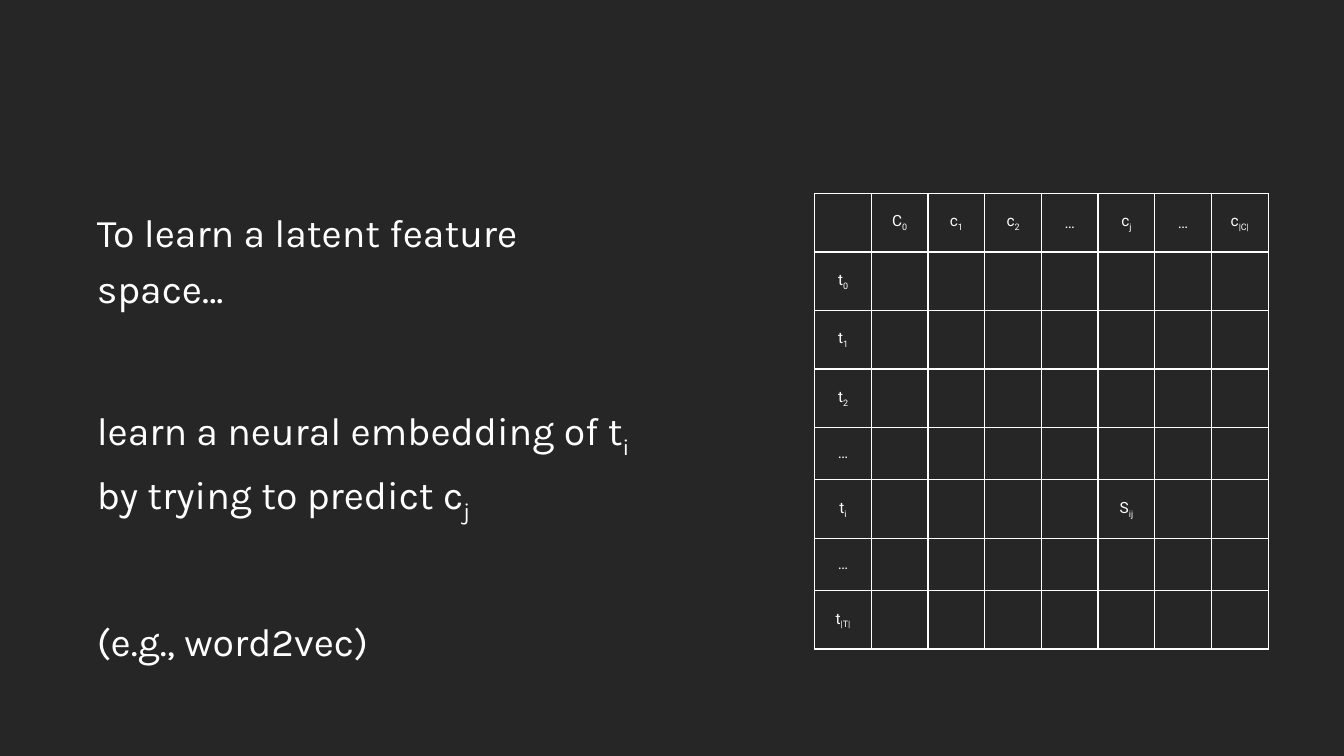
"""Build a slide on learning neural embeddings from a term-context matrix."""
from lxml.etree import SubElement
from pptx import Presentation
from pptx.dml.color import RGBColor
from pptx.enum.text import MSO_ANCHOR, MSO_AUTO_SIZE, PP_ALIGN
from pptx.oxml.ns import qn
from pptx.util import Inches, Pt

DARK = RGBColor(0x26, 0x26, 0x26)
WHITE = RGBColor(0xFF, 0xFF, 0xFF)

STATEMENTS = [
    "To learn a latent feature space…",
    "learn a neural embedding of t~i ~by trying to predict c~j",
    "(e.g., word2vec)",
]
CONTEXTS = ["C~0", "c~1", "c~2", "…", "c~j", "…", "c~|C|"]
TERMS = ["t~0", "t~1", "t~2", "…", "t~i", "…", "t~|T|"]
SCORE = "S~ij"


def add_text(p, text, size, font, color=WHITE):
    """Add runs to a paragraph, lowering every second part between tildes."""
    for i, part in enumerate(text.split("~")):
        r = p.add_run()
        r.text = part
        r.font.size = Pt(size)
        r.font.name = font
        r.font.color.rgb = color
        if i % 2:
            r.font._element.set("baseline", "-25000")


def add_statements(slide):
    """Fill the body placeholder with unbulleted, widely spaced statements."""
    body = slide.placeholders[1]
    body.left, body.top = Inches(0.86), Inches(1.92)
    body.width, body.height = Inches(5.57), Inches(4.5)
    tf = body.text_frame
    tf.word_wrap = True
    tf.auto_size = MSO_AUTO_SIZE.NONE
    tf.vertical_anchor = MSO_ANCHOR.TOP
    for i, text in enumerate(STATEMENTS):
        p = tf.add_paragraph() if i else tf.paragraphs[0]
        pPr = p._p.get_or_add_pPr()
        pPr.set("marL", "0")
        pPr.set("indent", "0")
        SubElement(pPr, qn("a:buNone"))
        p.line_spacing = 1.2
        p.space_before = Pt(60 if i else 0)
        add_text(p, text, 28, "Karla")


def add_borders(cell, color=WHITE, width=1):
    """Draw a solid line on all four sides of a cell."""
    tcPr = cell._tc.get_or_add_tcPr()
    for side in ("lnL", "lnR", "lnT", "lnB"):
        ln = SubElement(tcPr, qn(f"a:{side}"), w=str(Pt(width)))
        fill = SubElement(ln, qn("a:solidFill"))
        SubElement(fill, qn("a:srgbClr"), val=str(color))


def add_matrix(slide):
    """Add the term-context table with its single score."""
    n_rows, n_cols = len(TERMS) + 1, len(CONTEXTS) + 1
    table = slide.shapes.add_table(
        n_rows, n_cols, Inches(8.08), Inches(1.92), Inches(4.5), Inches(4.5)
    ).table
    table.first_row = table.horz_banding = False
    labels = {(0, c): text for c, text in enumerate(CONTEXTS, 1)}
    labels.update({(r, 0): text for r, text in enumerate(TERMS, 1)})
    labels[TERMS.index("t~i") + 1, CONTEXTS.index("c~j") + 1] = SCORE
    for i, row in enumerate(table.rows):
        row.height = Inches(0.52 if labels.get((i, 0)) == "…" else 0.58)
        for j, cell in enumerate(row.cells):
            add_borders(cell)
            cell.fill.background()
            cell.vertical_anchor = MSO_ANCHOR.MIDDLE
            if (i, j) in labels:
                p = cell.text_frame.paragraphs[0]
                p.alignment = PP_ALIGN.CENTER
                add_text(p, labels[i, j], 11, "Roboto")


def main():
    """Create the presentation and save it."""
    prs = Presentation()
    prs.slide_width, prs.slide_height = Inches(13.33), Inches(7.5)
    slide = prs.slides.add_slide(prs.slide_layouts[1])
    slide.background.fill.solid()
    slide.background.fill.fore_color.rgb = DARK
    title = slide.shapes.title._element
    title.getparent().remove(title)
    add_matrix(slide)
    add_statements(slide)
    prs.save("out.pptx")


if __name__ == "__main__":
    main()
